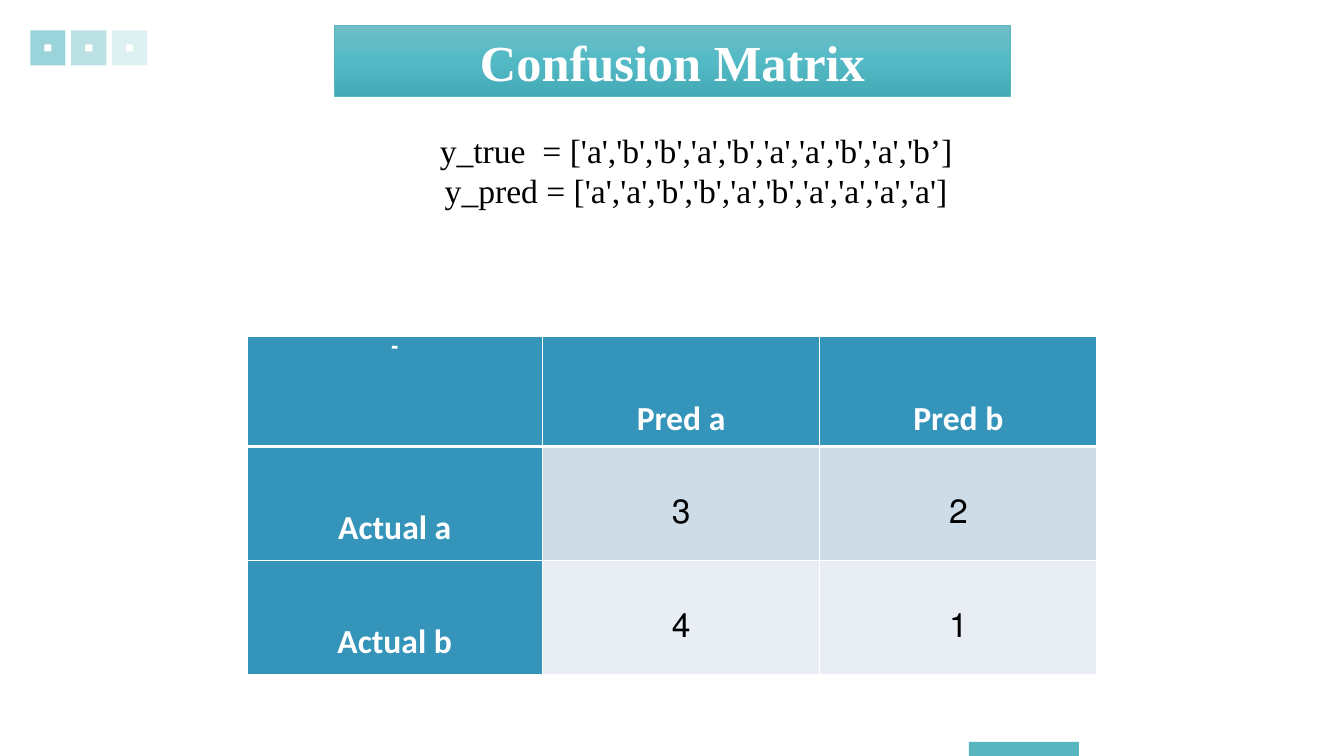
import copy

import lxml.etree
import pptx
import pptx.dml.color
import pptx.enum.dml
import pptx.enum.shapes
import pptx.enum.text
import pptx.oxml.ns
import pptx.util

Inches = pptx.util.Inches
Pt = pptx.util.Pt
RGBColor = pptx.dml.color.RGBColor
qn = pptx.oxml.ns.qn
RECT = pptx.enum.shapes.MSO_SHAPE.RECTANGLE

TEAL = RGBColor(0x58, 0xB6, 0xC0)
LIGHT = RGBColor(0x6F, 0xBE, 0xC7)
MID = RGBColor(0x53, 0xBA, 0xC5)
DARK = RGBColor(0x44, 0xAA, 0xB5)
BLUE = RGBColor(0x34, 0x94, 0xBA)
BAND = RGBColor(0xCE, 0xDC, 0xE7)
PALE = RGBColor(0xE8, 0xEE, 0xF3)
WHITE = RGBColor(0xFF, 0xFF, 0xFF)
BLACK = RGBColor(0, 0, 0)


def write(para, text, size, font, color, bold=False):
    """Add one centred run to a right-to-left paragraph."""
    para.alignment = pptx.enum.text.PP_ALIGN.CENTER
    para._p.get_or_add_pPr().set("rtl", "1")
    run = para.add_run()
    run.text = text
    run.font.size = Pt(size)
    run.font.name = font
    run.font.color.rgb = color
    run.font.bold = bold


def edge(cell, side, width):
    """Draw a white border on one side of a cell."""
    line = lxml.etree.SubElement(cell._tc.get_or_add_tcPr(), qn("a:" + side), w=str(Pt(width)))
    fill = lxml.etree.SubElement(line, qn("a:solidFill"))
    lxml.etree.SubElement(fill, qn("a:srgbClr"), val=str(WHITE))


deck = pptx.Presentation()
deck.slide_width = Inches(13.33)
deck.slide_height = Inches(7.5)
slide = deck.slides.add_slide(deck.slide_layouts[5])
shapes = slide.shapes

# Corner squares, fading to the right
for i, alpha in enumerate((60, 40, 20)):
    square = shapes.add_shape(RECT, Inches(0.37 + 0.405 * i), Inches(0.37), Inches(0.21), Inches(0.21))
    square.shadow.inherit = False
    square.fill.background()
    square.line.width = Pt(10)
    square.line.color.rgb = TEAL
    color = square.line._ln.find(".//" + qn("a:srgbClr"))
    lxml.etree.SubElement(color, qn("a:alpha"), val=str(alpha * 1000))
    lxml.etree.SubElement(square.line._ln, qn("a:miter"), lim="800000")

# Bottom tab
tab = shapes.add_shape(RECT, Inches(9.61), Inches(7.36), Inches(1.09), Inches(0.14))
tab.shadow.inherit = False
tab.fill.solid()
tab.fill.fore_color.rgb = TEAL
tab.line.fill.background()

# Title
title = shapes.title
title.left, title.top, title.width, title.height = map(Inches, (3.32, 0.25, 6.7, 0.71))
title.fill.gradient()
title.fill.gradient_angle = 270
stops = title._element.spPr.find(".//" + qn("a:gsLst"))
stops.insert(1, copy.deepcopy(stops[0]))
for stop, place, color in zip(title.fill.gradient_stops, (0, 0.5, 1), (LIGHT, MID, DARK)):
    stop.position = place
    stop.color.rgb = color
title.line.color.rgb = TEAL
title.line.width = Pt(0.5)
write(title.text_frame.paragraphs[0], "Confusion Matrix", 36, "Times New Roman", WHITE, True)

# Labels
box = shapes.add_textbox(Inches(3.57), Inches(1.24), Inches(6.67), Inches(1.31))
frame = box.text_frame
frame.word_wrap = True
labels = (
    "y_true  = ['a','b','b','a','b','a','a','b','a','b’]",
    "y_pred = ['a','a','b','b','a','b','a','a','a','a']",
)
for i, text in enumerate(labels):
    para = frame.add_paragraph() if i else frame.paragraphs[0]
    write(para, text, 24, "Times New Roman", BLACK)

# Matrix
rows = (("-", "Pred a", "Pred b"), ("Actual a", "3", "2"), ("Actual b", "4", "1"))
table = shapes.add_table(3, 3, Inches(2.45), Inches(3.34), Inches(8.43), Inches(3.35)).table
for col, width in zip(table.columns, (2.93, 2.75, 2.75)):
    col.width = Inches(width)
for row, height in zip(table.rows, (1.09, 1.13, 1.13)):
    row.height = Inches(height)
for r, row in enumerate(rows):
    for c, text in enumerate(row):
        cell = table.cell(r, c)
        head = r == 0 or c == 0
        cell.margin_left = cell.margin_right = Inches(0.07)
        cell.margin_top = cell.margin_bottom = 0
        for side in ("lnL", "lnR", "lnT", "lnB"):
            heavy = (r, side) in ((0, "lnB"), (1, "lnT"))
            edge(cell, side, 3 if heavy else 1)
        cell.fill.solid()
        cell.fill.fore_color.rgb = BLUE if head else (BAND, PALE)[r - 1]
        para = cell.text_frame.paragraphs[0]
        if text != "-":
            para.line_spacing = 2.5
        write(para, text, 24 if text != "-" else 15, "Calibri", WHITE if head else BLACK, head)

deck.save("out.pptx")
